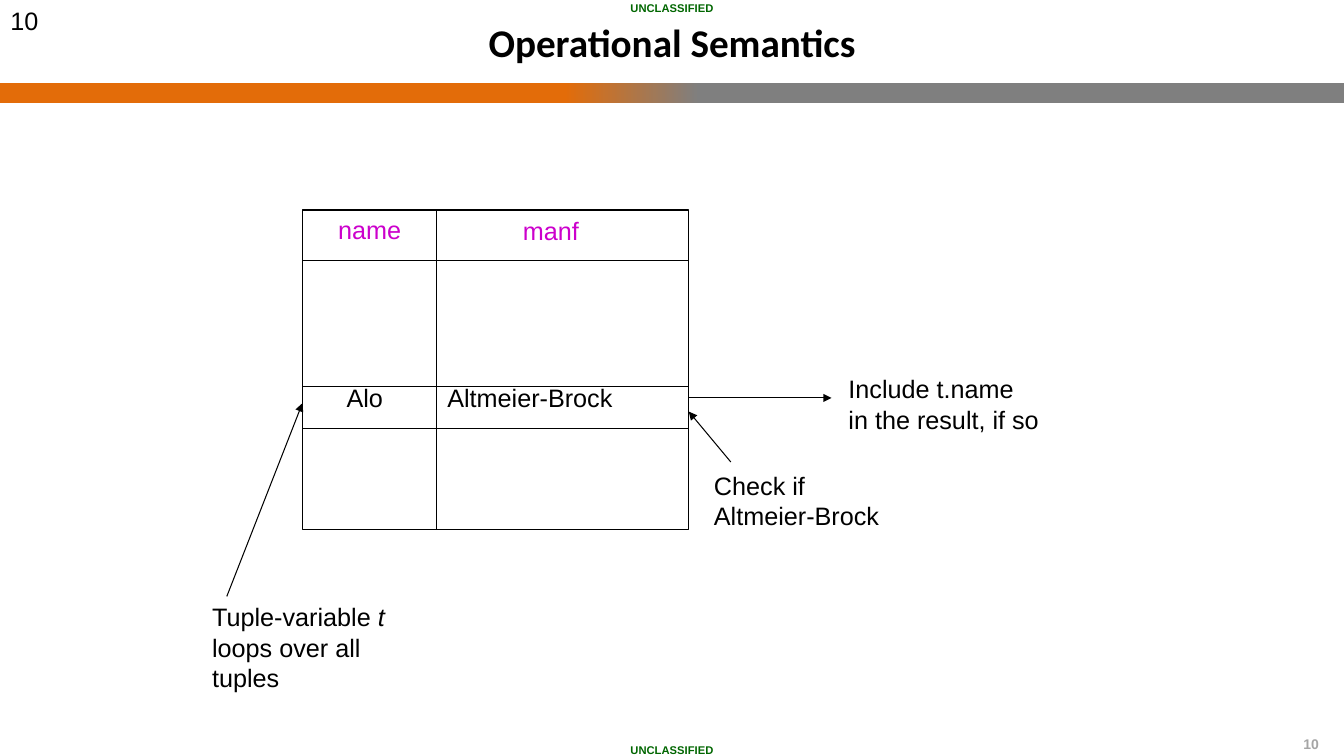
from dataclasses import dataclass

from lxml import etree
from pptx import Presentation
from pptx.dml.color import RGBColor
from pptx.enum.shapes import MSO_CONNECTOR, MSO_SHAPE
from pptx.enum.text import MSO_ANCHOR, PP_ALIGN
from pptx.oxml import parse_xml
from pptx.oxml.ns import nsdecls, qn
from pptx.util import Pt

LEFT, CENTER, RIGHT = PP_ALIGN.LEFT, PP_ALIGN.CENTER, PP_ALIGN.RIGHT
TOP, MIDDLE = MSO_ANCHOR.TOP, MSO_ANCHOR.MIDDLE
RECTANGLE, STRAIGHT = MSO_SHAPE.RECTANGLE, MSO_CONNECTOR.STRAIGHT
EMU_PER_PX = 9525
SLIDE_W, SLIDE_H = 1280, 720
TITLE_ONLY = 5


@dataclass(frozen=True)
class Theme:
    body_font: str = "Arial"
    title_font: str = "Calibri"
    ink: str = "000000"
    paper: str = "FFFFFF"
    heading: str = "CC00CC"
    marking: str = "006600"
    muted: str = "A5A5A5"
    band_gray: str = "7F7F7F"
    band_orange: str = "E36C09"
    title_size: int = 28
    body_size: int = 18
    number_size: int = 10
    marking_size: int = 8
    line_width: float = 0.75


def px(*lengths):
    return [length * EMU_PER_PX for length in lengths]


def write_text(frame, lines, *, font, size, color, bold=False, align=LEFT,
               anchor=TOP, margins=(10, 5)):
    """Each line is a string or a list of (text, italic) runs."""
    frame.word_wrap = True
    frame.vertical_anchor = anchor
    frame.margin_left = frame.margin_right = px(margins[0])[0]
    frame.margin_top = frame.margin_bottom = px(margins[1])[0]
    for index, line in enumerate(lines):
        paragraph = frame.add_paragraph() if index else frame.paragraphs[0]
        paragraph.alignment = align
        runs = [(line, False)] if isinstance(line, str) else line
        for text, italic in runs:
            run = paragraph.add_run()
            run.text = text
            run.font.name, run.font.size = font, Pt(size)
            run.font.bold, run.font.italic = bold, italic
            run.font.color.rgb = RGBColor.from_string(color)


class SlideBuilder:
    def __init__(self, slide, theme):
        self.slide, self.theme = slide, theme

    def title(self, text, x, y, w, h):
        heading = self.slide.shapes.title
        heading.left, heading.top, heading.width, heading.height = px(x, y, w, h)
        write_text(heading.text_frame, [text], font=self.theme.title_font,
                   size=self.theme.title_size, color=self.theme.ink, bold=True,
                   align=CENTER, anchor=MIDDLE)

    def label(self, lines, x, y, w, h, **style):
        box = self.slide.shapes.add_textbox(*px(x, y, w, h))
        defaults = dict(font=self.theme.body_font, size=self.theme.body_size,
                        color=self.theme.ink)
        write_text(box.text_frame, lines, **(defaults | style))

    def rectangle(self, x, y, w, h, fill=None, outlined=False):
        shape = self.slide.shapes.add_shape(RECTANGLE, *px(x, y, w, h))
        shape.shadow.inherit = False
        if fill:
            shape.fill.solid()
            shape.fill.fore_color.rgb = RGBColor.from_string(fill)
        else:
            shape.fill.background()
        if outlined:
            self.stroke(shape.line)
        else:
            shape.line.fill.background()
        return shape

    def marking(self, y):
        banner = self.rectangle(0, y, SLIDE_W, 12, fill=self.theme.paper)
        write_text(banner.text_frame, ["UNCLASSIFIED"], font=self.theme.body_font,
                   size=self.theme.marking_size, color=self.theme.marking,
                   bold=True, align=CENTER, margins=(0, 0))

    def gradient_band(self, y, h, stops):
        band = self.rectangle(0, y, SLIDE_W, h)
        stop_xml = "".join(
            f'<a:gs pos="{percent * 1000}"><a:srgbClr val="{color}"/></a:gs>'
            for percent, color in stops)
        gradient = parse_xml(
            f'<a:gradFill {nsdecls("a")} rotWithShape="1"><a:gsLst>{stop_xml}'
            '</a:gsLst><a:lin ang="10800000" scaled="0"/></a:gradFill>')
        properties = band.fill._xPr
        properties.replace(properties.find(qn("a:noFill")), gradient)

    def stroke(self, line):
        line.color.rgb = RGBColor.from_string(self.theme.ink)
        line.width = Pt(self.theme.line_width)

    def line(self, x1, y1, x2, y2, arrow=False):
        connector = self.slide.shapes.add_connector(STRAIGHT, *px(x1, y1, x2, y2))
        self.stroke(connector.line)
        if arrow:
            outline = connector.line._get_or_add_ln()
            etree.SubElement(outline, qn("a:tailEnd"), type="triangle")
        etree.SubElement(connector._element.spPr, qn("a:effectLst"))


def main():
    theme = Theme()
    deck = Presentation()
    deck.slide_width, deck.slide_height = px(SLIDE_W, SLIDE_H)
    slide = deck.slides.add_slide(deck.slide_layouts[TITLE_ONLY])
    page = SlideBuilder(slide, theme)

    # Markings, colour band, page numbers and title
    for marking_y in (708, 1):
        page.marking(marking_y)
    page.gradient_band(79, 19, [(0, theme.band_gray), (48, theme.band_gray),
                                (58, theme.band_orange), (100, theme.band_orange)])
    page.label(["10"], 1216, 695, 50, 25, size=theme.number_size,
               color=theme.muted, bold=True, align=RIGHT)
    page.label(["10"], 0, 0, 315, 315)
    page.title("Operational Semantics", 0, 0, SLIDE_W, 79)

    # Relation grid
    left, top, right, bottom = 288, 200, 656, 504
    column_x = 416
    page.rectangle(left, top, right - left, bottom - top, outlined=True)
    for row_y in (248, 368, 408):
        page.line(left, row_y, right, row_y)
    page.line(column_x, top, column_x, bottom)

    # Attribute names and the current tuple
    maker = "Altmeier-Brock"
    page.label(["name"], 312, 199, 84, 38, color=theme.heading)
    page.label(["manf"], 488, 200, 76, 38, color=theme.heading)
    page.label(["Alo"], 320, 359, 64, 38)
    page.label([maker], column_x, 359, 200, 38)

    # Steps of the evaluation, each with its arrow
    page.label(["Check if", maker], 670, 443, 200, 68)
    page.line(696, 440, right, 392, arrow=True)
    page.label(["Include t.name", "in the result, if so"], 798, 351, 208, 68)
    page.line(right, 379, 792, 379, arrow=True)
    page.label([[("Tuple-variable ", False), ("t", True)],
                "loops over all", "tuples"], 192, 568, 190, 97)
    page.line(216, 568, left, 384, arrow=True)

    deck.save("out.pptx")


if __name__ == "__main__":
    main()
